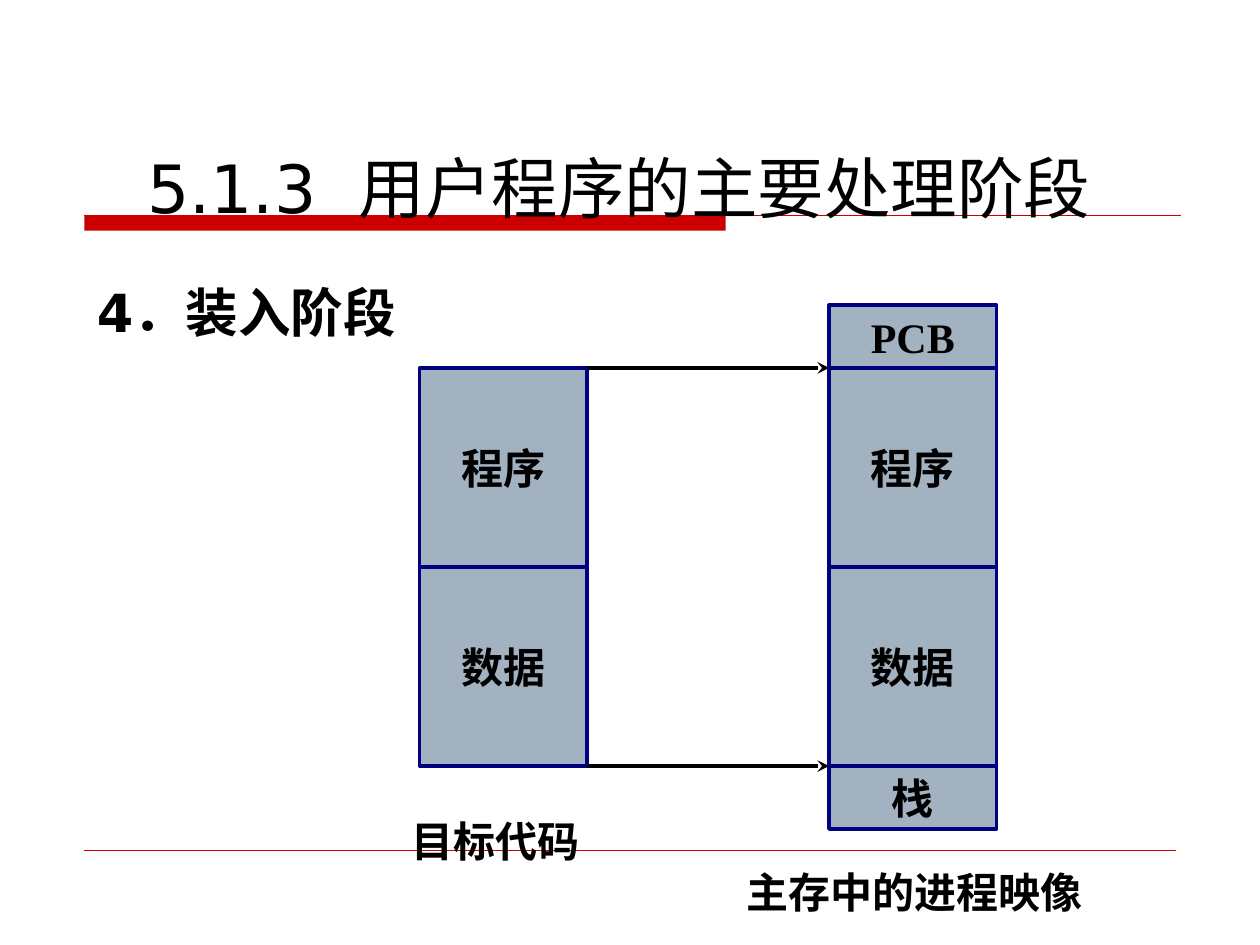
from lxml import etree
from pptx import Presentation
from pptx import util as u
from pptx.dml.color import RGBColor
from pptx.enum import shapes, text
from pptx.oxml.ns import qn

SANS, SERIF = "DejaVu Sans", "Times New Roman"
RED, BLACK, NAVY, GRAY_BLUE = "CC0000", "000000", "000080", "A3B2C1"
TITLE = ["5.1.3", " ", "用户程序的主要处理阶段"]
HEADING = "4．装入阶段"
CELL_WIDTH = 1.33
CODE_TOP, CODE_BOTTOM = 2.92, 6.08
# left, top, cells as (label, height)
COLUMNS = [
    (3.33, CODE_TOP, [("程序", 1.58), ("数据", 1.58)]),
    (6.58, 2.42, [("PCB", 0.5), ("程序", 1.58), ("数据", 1.58), ("栈", 0.5)]),
]
CAPTIONS = [
    ("目标代码", 3.17, 6.42, 1.75),
    ("主存中的进程映像", 5.83, 6.83, 3.17),
]

deck = Presentation()
deck.slide_width, deck.slide_height = u.Inches(10), u.Inches(7.5)
page = deck.slides.add_slide(deck.slide_layouts[6])


def color(code):
    return RGBColor.from_string(code)


def inches(*lengths):
    return [u.Inches(length) for length in lengths]


def set_font(para, name, size, bold=False):
    para.font.name, para.font.size, para.font.bold = name, u.Pt(size), bold
    para.font.color.rgb = color(BLACK)


def add_text(words, place, name, size, bold=True):
    box = page.shapes.add_textbox(*inches(*place))
    box.text_frame.word_wrap = True
    para = box.text_frame.paragraphs[0]
    for word in words:
        para.add_run().text = word
    set_font(para, name, size, bold)
    return box


def add_bar(left, top, width, height):
    bar = page.shapes.add_shape(shapes.MSO_SHAPE.RECTANGLE, *inches(left, top, width, height))
    bar.shadow.inherit = False
    bar.fill.solid()
    bar.fill.fore_color.rgb = color(RED)
    bar.line.fill.background()


def add_line(left, right, y, code, weight, arrow=False):
    line = page.shapes.add_connector(
        shapes.MSO_CONNECTOR.STRAIGHT, *inches(left, y, right, y))
    line.line.color.rgb = color(code)
    line.line.width = u.Pt(weight)
    if arrow:
        tail = etree.SubElement(line.line._get_or_add_ln(), qn("a:tailEnd"))
        tail.set("type", "stealth")
    etree.SubElement(line._element.spPr, qn("a:effectLst"))


def add_cell(label, left, top, height):
    cell = page.shapes.add_shape(
        shapes.MSO_SHAPE.RECTANGLE, *inches(left, top, CELL_WIDTH, height))
    cell.shadow.inherit = False
    cell.fill.solid()
    cell.fill.fore_color.rgb = color(GRAY_BLUE)
    cell.line.color.rgb = color(NAVY)
    cell.line.width = u.Pt(2)
    frame = cell.text_frame
    frame.word_wrap = False
    frame.vertical_anchor = text.MSO_ANCHOR.MIDDLE
    para = frame.paragraphs[0]
    para.text = label
    para.alignment = text.PP_ALIGN.CENTER
    set_font(para, SERIF, 24, True)


add_bar(0.67, 1.71, 5.09, 0.12)
add_line(0.67, 9.37, 1.71, RED, 0.75)
add_line(0.67, 9.33, 6.75, RED, 0.25)

title = add_text(TITLE, (1.07, 1.08, 8.93, 0.77), SANS, 38, bold=False)
title.text_frame.vertical_anchor = text.MSO_ANCHOR.BOTTOM
gap = title.text_frame.paragraphs[0].runs[1]
gap.font._element.set("spc", "1200")  # widen the gap after the number

heading = add_text([HEADING], (0.67, 2.17, 2.83, 5.33), SANS, 30)
indent = heading.text_frame.paragraphs[0]._p.get_or_add_pPr()
indent.set("marL", str(u.Inches(0.38)))
indent.set("indent", str(u.Inches(-0.38)))

for left, top, cells in COLUMNS:
    for label, height in cells:
        add_cell(label, left, top, height)
        top += height

code_left, image_left = (column[0] for column in COLUMNS)
for y in (CODE_TOP, CODE_BOTTOM):
    add_line(code_left + CELL_WIDTH, image_left, y, BLACK, 2.25, arrow=True)

for caption, left, top, width in CAPTIONS:
    box = add_text([caption], (left, top, width, 0.5), SERIF, 24)
    box.text_frame.auto_size = text.MSO_AUTO_SIZE.SHAPE_TO_FIT_TEXT

deck.save("out.pptx")
